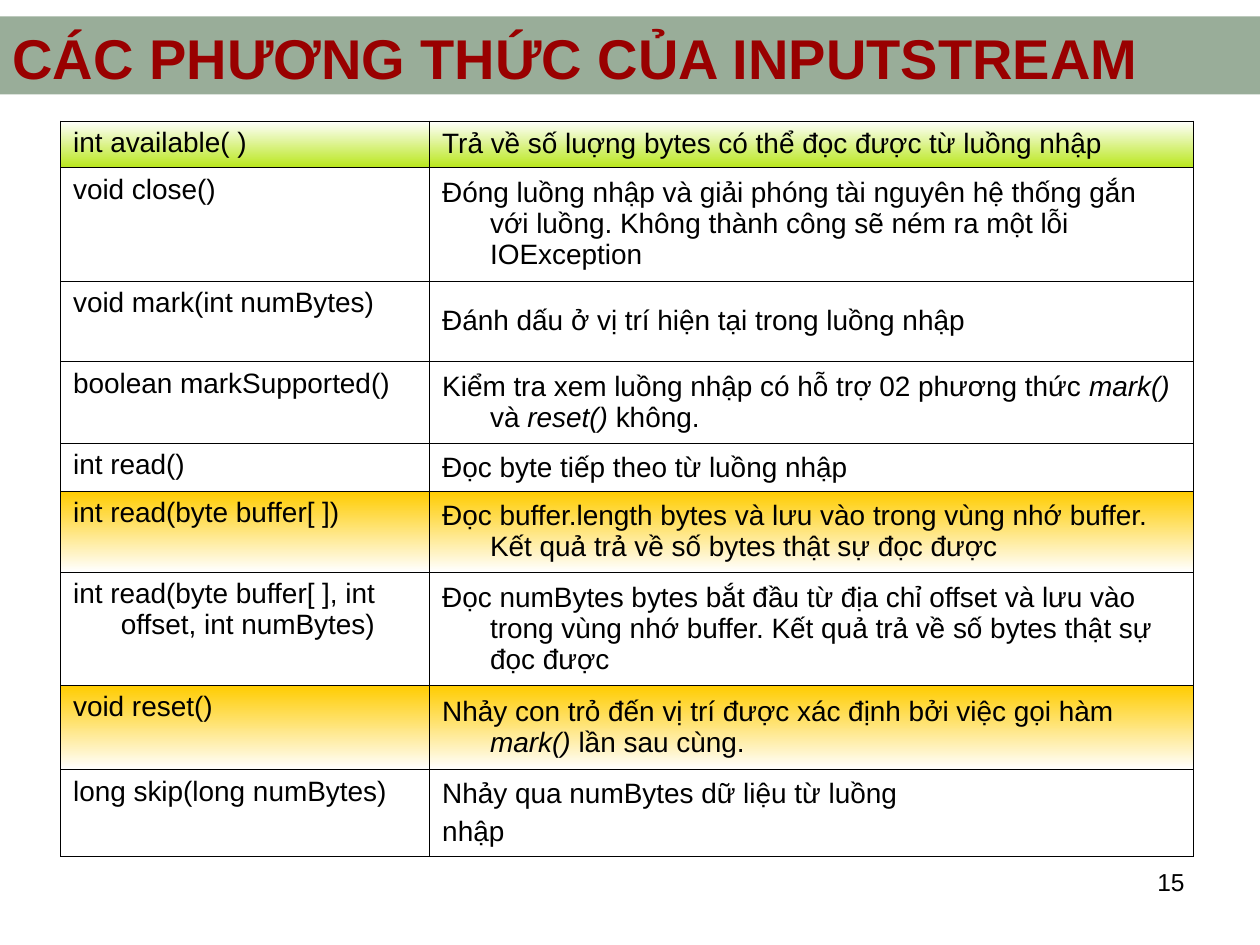
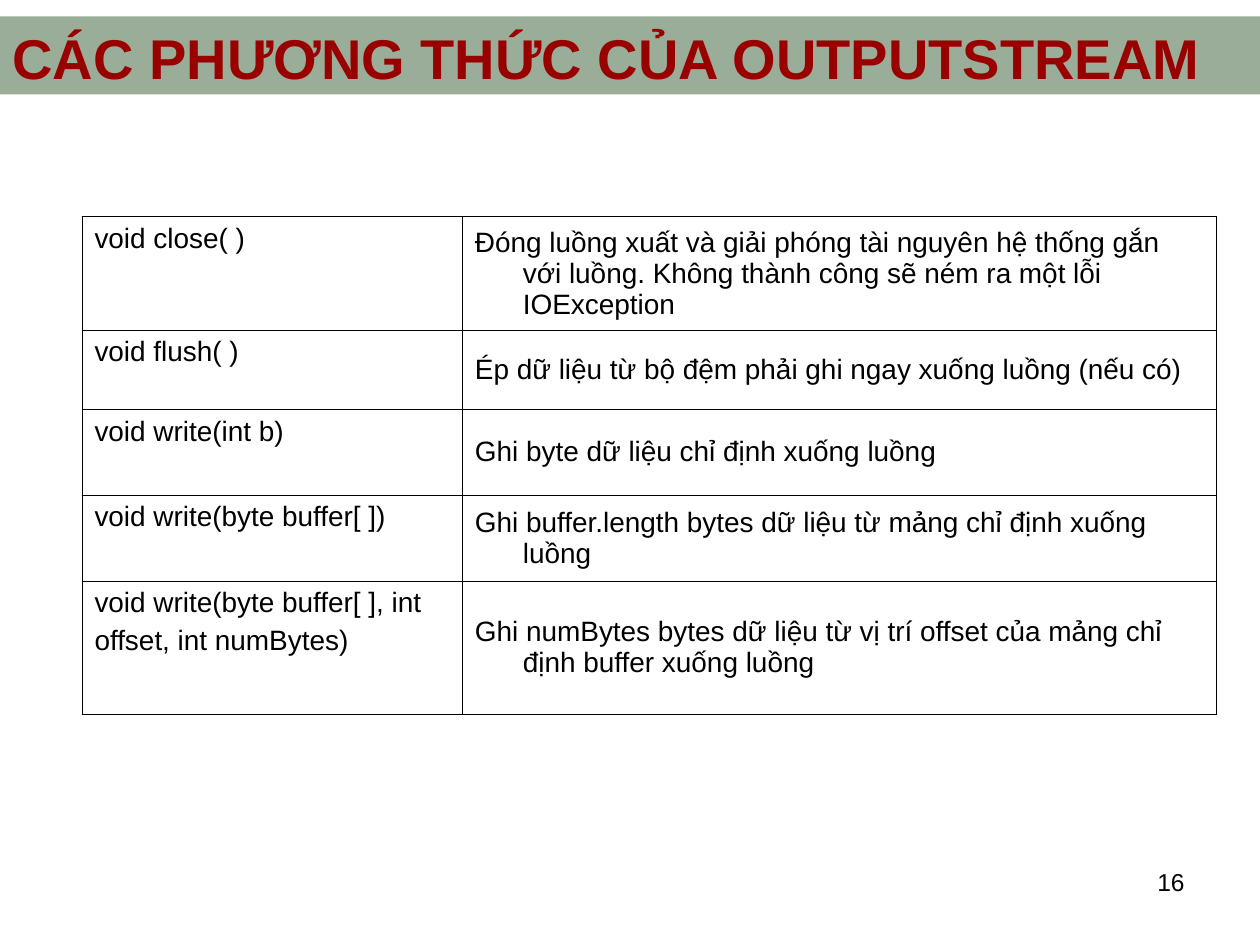
from dataclasses import dataclass

from lxml import etree
from pptx import Presentation
from pptx.dml.color import RGBColor
from pptx.enum import shapes, text
from pptx.oxml.ns import qn
from pptx.util import Inches, Pt

FONT = "Arial"
BLACK, WHITE = "000000", "FFFFFF"
BAND, TITLE = "003300", "990000"
PLAIN = (WHITE,)
GREEN = (WHITE, "B9E71C")
GOLD = ("FFCC00", WHITE)
HANGING = Inches(0.38)


@dataclass
class Method:
    height: float
    signature: str
    description: str  # *asterisks* mark italics, a line break starts a paragraph
    fill: tuple[str, ...] = PLAIN
    gaps: tuple[int, int] = (0, 4)  # points above the paragraphs of each column


@dataclass
class MethodSlide:
    title: str
    number: int
    left: float
    top: float
    columns: tuple[float, float]
    methods: list[Method]


SLIDES = [
    MethodSlide("CÁC PHƯƠNG THỨC CỦA INPUTSTREAM", 15, 0.48, 0.96, (2.93, 6.06), [
        Method(0.37, "int available( )",
               "Trả về số luợng bytes có thể đọc được từ luồng nhập", GREEN),
        Method(0.9, "void close()",
               "Đóng luồng nhập và giải phóng tài nguyên hệ thống gắn với luồng. "
               "Không thành công sẽ ném ra một lỗi IOException"),
        Method(0.64, "void mark(int numBytes)",
               "Đánh dấu ở vị trí hiện tại trong luồng nhập"),
        Method(0.65, "boolean markSupported()",
               "Kiểm tra xem luồng nhập có hỗ trợ 02 phương thức "
               "*mark() *và *reset() *không."),
        Method(0.38, "int read()", "Đọc byte tiếp theo từ luồng nhập", gaps=(0, 0)),
        Method(0.64, "int read(byte buffer[ ])",
               "Đọc buffer.length bytes và lưu vào trong vùng nhớ buffer. "
               "Kết quả trả về số bytes thật sự đọc được", GOLD),
        Method(0.9, "int read(byte buffer[ ], int offset, int numBytes)",
               "Đọc numBytes bytes bắt đầu từ địa chỉ offset và lưu vào trong vùng "
               "nhớ buffer. Kết quả trả về số bytes thật sự đọc được", gaps=(4, 4)),
        Method(0.67, "void reset()",
               "Nhảy con trỏ đến vị trí được xác định bởi việc gọi hàm "
               "*mark() *lần sau cùng.", GOLD),
        Method(0.69, "long skip(long numBytes)",
               "Nhảy qua numBytes dữ liệu từ luồng\nnhập"),
    ]),
    MethodSlide("CÁC PHƯƠNG THỨC CỦA OUTPUTSTREAM", 16, 0.65, 1.72, (3.02, 5.98), [
        Method(0.9, "void close( )",
               "Đóng luồng xuất và giải phóng tài nguyên hệ thống gắn với luồng. "
               "Không thành công sẽ ném ra một lỗi IOException"),
        Method(0.63, "void flush( )",
               "Ép dữ liệu từ bộ đệm phải ghi ngay xuống luồng (nếu có)"),
        Method(0.68, "void write(int b)", "Ghi byte dữ liệu chỉ định xuống luồng",
               gaps=(0, 0)),
        Method(0.68, "void write(byte buffer[ ])",
               "Ghi buffer.length bytes dữ liệu từ mảng chỉ định xuống luồng"),
        Method(1.06, "void write(byte buffer[ ], int\noffset, int numBytes)",
               "Ghi numBytes bytes dữ liệu từ vị trí offset của mảng chỉ định "
               "buffer xuống luồng", gaps=(4, 4)),
    ]),
]


def rgb(color: str) -> RGBColor:
    return RGBColor.from_string(color)


def add_run(p, words: str, size: int, color: str = BLACK,
            bold: bool = False, italic: bool = False) -> None:
    r = p.add_run()
    r.text = words
    f = r.font
    f.name, f.size, f.bold, f.italic = FONT, Pt(size), bold, italic
    f.color.rgb = rgb(color)


def add_band(s) -> None:
    sp = s.shapes.add_shape(shapes.MSO_SHAPE.RECTANGLE, 0, Inches(0.13),
                            Inches(10), Inches(0.62))
    sp.shadow.inherit = False
    sp.line.fill.background()
    sp.fill.solid()
    sp.fill.fore_color.rgb = rgb(BAND)
    clr = sp._element.spPr.find(qn("a:solidFill")).find(qn("a:srgbClr"))
    etree.SubElement(clr, qn("a:alpha"), val="40000")


def add_label(s, box: tuple[float, float, float, float], words: str, size: int,
              color: str, bold: bool, anchor, align) -> None:
    tf = s.shapes.add_textbox(*map(Inches, box)).text_frame
    tf.word_wrap = True
    tf.vertical_anchor = anchor
    p = tf.paragraphs[0]
    p.alignment = align
    add_run(p, words, size, color, bold)


def add_borders(cell) -> None:
    tc_pr = cell._tc.get_or_add_tcPr()
    for side in "LRTB":
        ln = etree.SubElement(tc_pr, qn(f"a:ln{side}"), w=str(Pt(0.34)))
        fill = etree.SubElement(ln, qn("a:solidFill"))
        etree.SubElement(fill, qn("a:srgbClr"), val=BLACK)


def fill_cell(cell, colors: tuple[str, ...]) -> None:
    if len(colors) == 1:
        cell.fill.solid()
        cell.fill.fore_color.rgb = rgb(colors[0])
        return
    cell.fill.gradient()
    cell.fill.gradient_angle = 270  # counter-clockwise: top to bottom
    for stop, color in zip(cell.fill.gradient_stops, colors):
        stop.color.rgb = rgb(color)


def write_cell(cell, words: str, gap: int) -> None:
    tf = cell.text_frame
    for i, line in enumerate(words.split("\n")):
        p = tf.add_paragraph() if i else tf.paragraphs[0]
        p.space_before = Pt(gap)
        p_pr = p._p.get_or_add_pPr()
        p_pr.set("marL", str(HANGING))
        p_pr.set("indent", str(-HANGING))
        for j, part in enumerate(line.split("*")):
            add_run(p, part, 16, italic=j % 2 == 1)


def add_method_table(s, page: MethodSlide) -> None:
    height = sum(m.height for m in page.methods)
    table = s.shapes.add_table(len(page.methods), 2, Inches(page.left), Inches(page.top),
                               Inches(sum(page.columns)), Inches(height)).table
    table.first_row = table.horz_banding = False
    for column, width in zip(table.columns, page.columns):
        column.width = Inches(width)
    anchors = (text.MSO_ANCHOR.TOP, text.MSO_ANCHOR.MIDDLE)
    for row, m in zip(table.rows, page.methods):
        row.height = Inches(m.height)
        columns = zip(row.cells, (m.signature, m.description), m.gaps, anchors)
        for cell, words, gap, anchor in columns:
            cell.vertical_anchor = anchor
            add_borders(cell)
            fill_cell(cell, m.fill)
            write_cell(cell, words, gap)


def add_method_slide(prs, page: MethodSlide) -> None:
    s = prs.slides.add_slide(prs.slide_layouts[6])
    # Page number, title band, table, title
    add_label(s, (7.17, 6.83, 2.33, 0.52), str(page.number), 14, BLACK, False,
              text.MSO_ANCHOR.TOP, text.PP_ALIGN.RIGHT)
    add_band(s)
    add_method_table(s, page)
    add_label(s, (0, 0.24, 10, 0.42), page.title, 32, TITLE, True,
              text.MSO_ANCHOR.MIDDLE, text.PP_ALIGN.LEFT)


def main() -> None:
    prs = Presentation()
    prs.slide_width, prs.slide_height = Inches(10), Inches(7.5)
    for page in SLIDES:
        add_method_slide(prs, page)
    prs.save("out.pptx")


if __name__ == "__main__":
    main()
